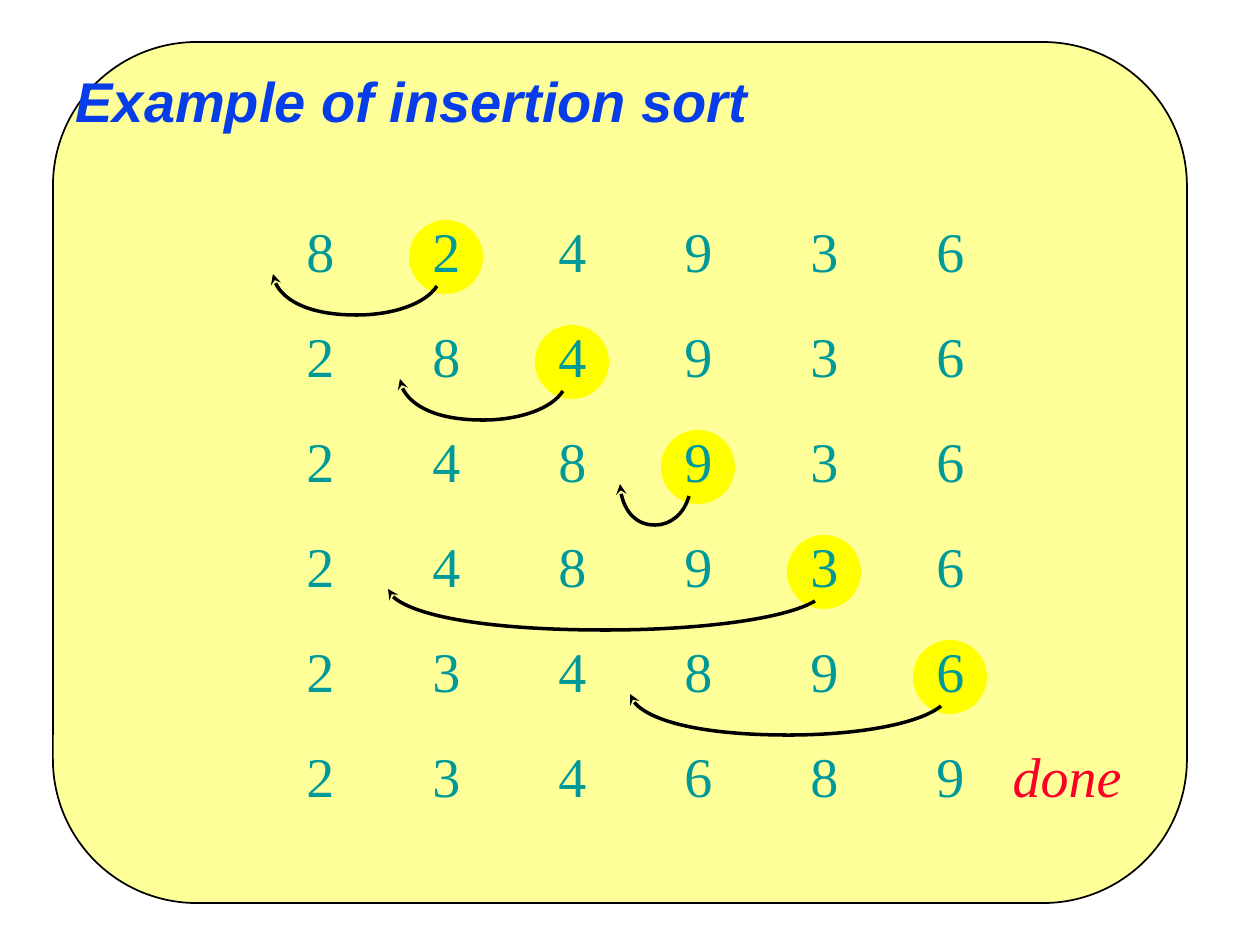
"""Build the slide that traces an insertion sort row by row."""
from pptx import Presentation
from pptx.dml.color import RGBColor
from pptx.enum.shapes import MSO_SHAPE
from pptx.enum.text import MSO_ANCHOR, MSO_AUTO_SIZE, PP_ALIGN
from pptx.oxml.ns import qn
from pptx.util import Emu, Pt

ROUNDED, OVAL = MSO_SHAPE.ROUNDED_RECTANGLE, MSO_SHAPE.OVAL
MIDDLE = MSO_ANCHOR.MIDDLE
FIT_SHAPE, NO_FIT = MSO_AUTO_SIZE.SHAPE_TO_FIT_TEXT, MSO_AUTO_SIZE.NONE
LEFT, CENTER = PP_ALIGN.LEFT, PP_ALIGN.CENTER

PX_PER_INCH = 126
FIRST_COLUMN, COLUMN_STEP = 320, 126
FIRST_ROW, ROW_STEP = 210, 105
DIGIT_WIDTH, TEXT_HEIGHT = 53, 81
MARK_SIZE = 74

PASSES = ["824936", "284936", "248936", "248936", "234896", "234689"]
ARROW_TIPS = [273, 400, 620, 388, 630]
ARROW_CURVE = [(0.93, 94), (0.73, 105), (0.51, 105),
               (0.23, 105), (0.01, 87), (0, 64)]


def px(length):
    """Turn pixels into EMU."""
    return Emu(round(length * 914400 / PX_PER_INCH))


def color(hex_code):
    """Turn a hex string into a colour."""
    return RGBColor.from_string(hex_code)


def add_run(paragraph, text, font_name, hex_code, bold=False, italic=False):
    """Add one formatted run."""
    run = paragraph.add_run()
    run.text = text
    font = run.font
    font.name, font.size = font_name, Pt(32)
    font.bold, font.italic = bold, italic
    font.color.rgb = color(hex_code)


def set_title(slide, text):
    """Place and format the title placeholder."""
    title = slide.shapes.title
    title.left, title.top, title.width, title.height = map(px, (63, 32, 1134, 136))
    frame = title.text_frame
    frame.vertical_anchor, frame.auto_size = MIDDLE, NO_FIT
    heading = frame.paragraphs[0]
    heading.alignment = LEFT
    add_run(heading, text, "Arial", "063DE8", bold=True, italic=True)


def add_filled(slide, kind, left, top, width, height, fill):
    """Add a filled preset shape without outline or shadow."""
    shape = slide.shapes.add_shape(kind, *map(px, (left, top, width, height)))
    shape.shadow.inherit = False
    shape.fill.solid()
    shape.fill.fore_color.rgb = color(fill)
    shape.line.fill.background()
    return shape


def add_panel(slide):
    """Add the rounded panel behind the title."""
    panel = add_filled(slide, ROUNDED, 53, 42, 1134, 861, "FFFF99")
    panel.adjustments[0] = 0.167
    panel.line.color.rgb = color("000000")
    panel.line.width = Pt(1)
    slide.shapes.title._element.addprevious(panel._element)


def add_label(slide, text, left, top, width, hex_code, italic=False):
    """Add a centred text label."""
    label = slide.shapes.add_textbox(*map(px, (left, top, width, TEXT_HEIGHT)))
    frame = label.text_frame
    frame.word_wrap, frame.auto_size = False, FIT_SHAPE
    paragraph = frame.paragraphs[0]
    paragraph.alignment = CENTER
    add_run(paragraph, text, "Times New Roman", hex_code, italic=italic)


def add_curved_arrow(slide, start, tip, top):
    """Draw a two-part Bezier arrow from the moved digit to its new place."""
    points = [(px(tip + (start - tip) * share), px(top + drop))
              for share, drop in ARROW_CURVE]
    builder = slide.shapes.build_freeform(px(start), px(top + 76))
    builder.add_line_segments(points, close=False)
    arrow = builder.convert_to_shape()
    arrow.shadow.inherit = False
    arrow.fill.background()
    arrow.line.color.rgb = color("000000")
    arrow.line.width = Pt(2)
    head = arrow.line._get_or_add_ln().makeelement(qn("a:tailEnd"), {"type": "stealth"})
    arrow.line._get_or_add_ln().append(head)

    segments = list(arrow._element.iter(qn("a:lnTo")))
    for first in range(0, len(segments), 3):
        curve = segments[first].makeelement(qn("a:cubicBezTo"), {})
        segments[first].addprevious(curve)
        for segment in segments[first:first + 3]:
            curve.append(segment[0])
            segment.getparent().remove(segment)


def add_pass(slide, row, digits):
    """Add one pass: its digits and, until sorted, the insertion to come."""
    top = FIRST_ROW + row * ROW_STEP
    inserting = row < len(ARROW_TIPS)
    moved = FIRST_COLUMN + (row + 1) * COLUMN_STEP
    if inserting:
        add_filled(slide, OVAL, moved - MARK_SIZE // 2, top + 10,
                   MARK_SIZE, MARK_SIZE, "FFFF00")
    for column, digit in enumerate(digits):
        left = FIRST_COLUMN + column * COLUMN_STEP - DIGIT_WIDTH // 2
        add_label(slide, digit, left, top, DIGIT_WIDTH, "009999")
    if inserting:
        add_curved_arrow(slide, moved - 9, ARROW_TIPS[row], top)


def main():
    """Build and save the slide."""
    deck = Presentation()
    deck.slide_width, deck.slide_height = px(1260), px(945)
    slide = deck.slides.add_slide(deck.slide_layouts[5])
    set_title(slide, "Example of insertion sort")
    add_panel(slide)
    for row, digits in enumerate(PASSES):
        add_pass(slide, row, digits)
    last_row = FIRST_ROW + (len(PASSES) - 1) * ROW_STEP
    add_label(slide, "done", 1000, last_row, 134, "FC0128", italic=True)
    deck.save("out.pptx")


if __name__ == "__main__":
    main()
